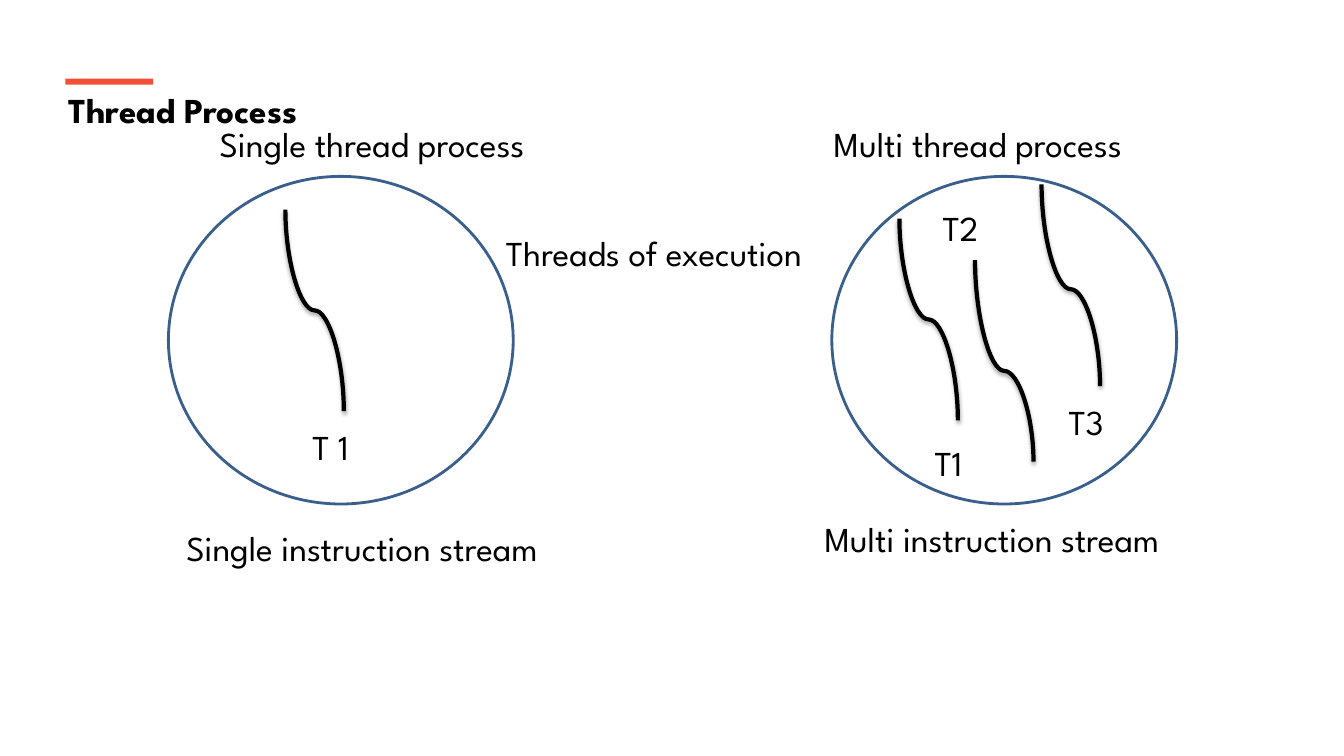
import pptx
import pptx.util
import pptx.dml.color
import pptx.enum.shapes
import pptx.enum.text
import pptx.oxml
from dataclasses import dataclass
from pptx.oxml.ns import nsdecls, qn

Inches = pptx.util.Inches
Pt = pptx.util.Pt
RGB = pptx.dml.color.RGBColor


@dataclass(frozen=True)
class Theme:
    font: str = "League Spartan"
    size: int = 25
    ink: str = "000000"
    paper: str = "FFFFFF"
    outline: str = "3A5F8C"
    accent: str = "F05136"
    label_height: float = 0.52
    circle_width: float = 3.42
    circle_height: float = 3.25
    thread_width: float = 0.58
    thread_height: float = 2


THEME = Theme()


def write_text(sp, text, bold=False):
    tf = sp.text_frame
    tf.word_wrap = True
    tf.auto_size = pptx.enum.text.MSO_AUTO_SIZE.SHAPE_TO_FIT_TEXT
    tf.vertical_anchor = pptx.enum.text.MSO_ANCHOR.TOP
    p = tf.paragraphs[0]
    p.alignment = pptx.enum.text.PP_ALIGN.LEFT
    r = p.add_run()
    r.text = text
    r.font.name = THEME.font
    r.font.size = Pt(THEME.size)
    r.font.bold = bold
    r.font.color.rgb = RGB.from_string(THEME.ink)


def add_label(s, text, left, top, width):
    sp = s.shapes.add_textbox(Inches(left), Inches(top), Inches(width), Inches(THEME.label_height))
    write_text(sp, text)


def add_filled_shape(s, kind, left, top, width, height, fill, line=None):
    sp = s.shapes.add_shape(kind, Inches(left), Inches(top), Inches(width), Inches(height))
    sp.shadow.inherit = False
    sp.fill.solid()
    sp.fill.fore_color.rgb = RGB.from_string(fill)
    if line:
        sp.line.color.rgb = RGB.from_string(line)
        sp.line.width = Pt(2)
    else:
        sp.line.fill.background()


def add_thread(s, left, top, bend):
    mid_x = left + THEME.thread_width / 2
    mid_y = top + THEME.thread_height / 2
    half_w, half_h = THEME.thread_height / 2, THEME.thread_width / 2
    cx = s.shapes.add_connector(
        pptx.enum.shapes.MSO_CONNECTOR.CURVE,
        Inches(mid_x + half_w), Inches(mid_y - half_h),
        Inches(mid_x - half_w), Inches(mid_y + half_h))
    cx.line.color.rgb = RGB.from_string(THEME.ink)
    cx.line.width = Pt(3)
    sp_pr = cx._element.spPr
    sp_pr.find(qn("a:xfrm")).set("rot", "16200000")
    guides = sp_pr.find(qn("a:prstGeom")).find(qn("a:avLst"))
    guides.append(pptx.oxml.parse_xml(
        f'<a:gd {nsdecls("a")} name="adj1" fmla="val {round(bend * 100000)}"/>'))
    sp_pr.append(pptx.oxml.parse_xml(
        f'<a:effectLst {nsdecls("a")}><a:outerShdw blurRad="{Pt(3.1)}" dist="{Pt(1.8)}" '
        f'dir="5400000" rotWithShape="0"><a:srgbClr val="{THEME.ink}">'
        '<a:alpha val="35000"/></a:srgbClr></a:outerShdw></a:effectLst>'))


def add_heading(s, left, top, width):
    title = s.shapes.title
    title.left, title.top = Inches(left), Inches(top)
    title.width, title.height = Inches(width), Inches(THEME.label_height)
    write_text(title, "Thread Process", bold=True)
    add_filled_shape(s, pptx.enum.shapes.MSO_SHAPE.RECTANGLE,
                     left + 0.07, top - 0.05, 0.87, 0.06, THEME.accent)


def add_process(s, left, top, threads, labels):
    add_filled_shape(s, pptx.enum.shapes.MSO_SHAPE.OVAL, left, top,
                     THEME.circle_width, THEME.circle_height, THEME.paper, THEME.outline)
    for dx, dy, bend in threads:
        add_thread(s, left + dx, top + dy, bend)
    for text, dx, dy, width in labels:
        add_label(s, text, left + dx, top + dy, width)


def build_slide(prs):
    s = prs.slides.add_slide(prs.slide_layouts[5])
    add_heading(s, 0.58, 0.83, 12.09)
    add_process(
        s, 8.25, 1.75,
        threads=[(0.67, 0.42, 0.5), (1.42, 0.83, 0.55), (2.08, 0.08, 0.52)],
        labels=[("Multi thread process", -0.08, -0.58, 4.42),
                ("T1", 0.92, 2.58, 1.08),
                ("T2", 1, 0.25, 1.17),
                ("T3", 2.25, 2.17, 0.83),
                ("Multi instruction stream", -0.17, 3.33, 4.5)])
    add_process(
        s, 1.67, 1.75,
        threads=[(1.16, 0.33, 0.5)],
        labels=[("Single thread process", 0.41, -0.58, 5.25),
                ("T 1", 1.33, 2.42, 1.83),
                ("Single instruction stream", 0.08, 3.42, 4.5)])
    add_label(s, "Threads of execution", 4.92, 2.25, 4)


def main():
    prs = pptx.Presentation()
    prs.slide_width, prs.slide_height = Inches(13.33), Inches(7.5)
    build_slide(prs)
    prs.save("out.pptx")


if __name__ == "__main__":
    main()
